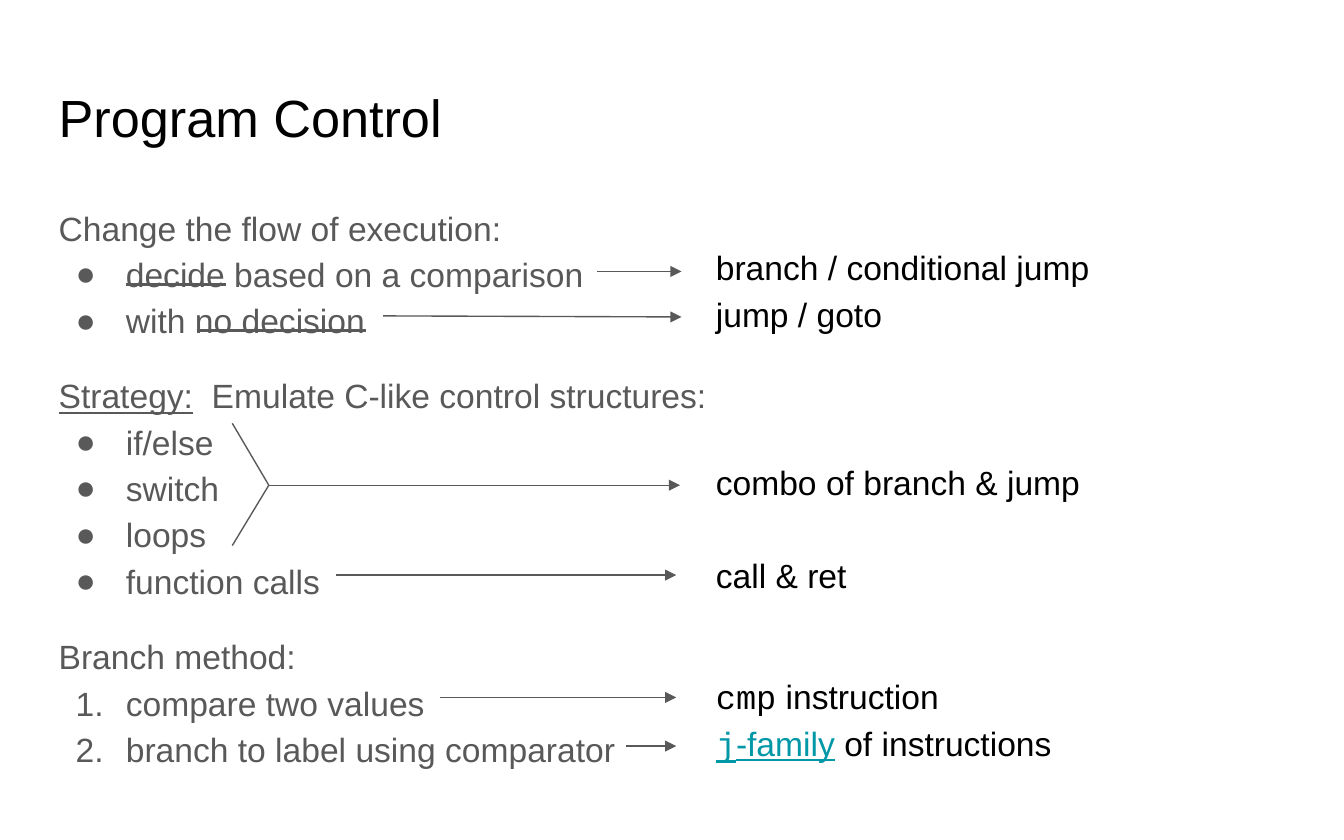
import pptx
import pptx.dml.color
import pptx.enum.dml
import pptx.enum.shapes
import pptx.enum.text
import pptx.oxml.ns
import pptx.util
from lxml import etree

Cm = pptx.util.Cm
Pt = pptx.util.Pt
qn = pptx.oxml.ns.qn

GREY, BLACK, TEAL = "595959", "000000", "0097A7"
MONO = {"name": "Courier New"}
BULLET = ("a:buChar", {"char": "●"})
NUMBER = ("a:buAutoNum", {"type": "arabicPeriod"})


def colour(value):
    return pptx.dml.color.RGBColor.from_string(value)


def apply(target, values):
    for name, value in values.items():
        setattr(target, name, value)


class Page:
    """Hold the style and the current slide, and draw its elements."""

    font = {"name": "Arial", "size": Pt(18), "underline": False}
    frame = {
        "word_wrap": True,
        "auto_size": pptx.enum.text.MSO_AUTO_SIZE.NONE,
        **{f"margin_{side}": Cm(0.25) for side in ("left", "top", "right", "bottom")},
    }

    def __init__(self, deck):
        self.slide = deck.slides.add_slide(deck.slide_layouts[6])

    def spans(self, para, parts, ink):
        for text, values in parts:
            span = para.add_run()
            span.text = text
            values = {"color": ink, **self.font, **values}
            span.font.color.rgb = colour(values.pop("color"))
            apply(span.font, values)

    def text(self, place, parts, ink=BLACK, **frame):
        box = self.slide.shapes.add_textbox(*map(Cm, place))
        apply(box.text_frame, {**self.frame, **frame})
        self.spans(box.text_frame.paragraphs[0], parts, ink)
        return box.text_frame

    def bullet(self, para, marker):
        tag, values = marker
        properties = para._p.get_or_add_pPr()
        properties.set("marL", str(Cm(1.27)))
        properties.set("indent", str(-Cm(0.95)))
        ink = etree.SubElement(properties, qn("a:buClr"))
        etree.SubElement(ink, qn("a:srgbClr"), val=GREY)
        etree.SubElement(properties, qn("a:buFont"), typeface="Arial")
        etree.SubElement(properties, qn(tag), **values)

    def section(self, top, height, heading, items, marker):
        frame = self.text((0.86, top, 23.67, height), heading, GREY)
        for item in items:
            para = frame.add_paragraph()
            self.spans(para, [(item, {})], GREY)
            self.bullet(para, marker)
        for para in frame.paragraphs:
            apply(para, {"line_spacing": 1.15, "space_before": Pt(0), "space_after": Pt(0)})

    def line(self, start, end, width=0.75, arrow=False):
        connector = self.slide.shapes.add_connector(
            pptx.enum.shapes.MSO_CONNECTOR.STRAIGHT, *map(Cm, start + end)
        )
        connector.line.color.rgb = colour(GREY)
        connector.line.width = Pt(width)
        if arrow:
            outline = connector.line._get_or_add_ln()
            etree.SubElement(outline, qn("a:tailEnd"), type="triangle", w="med", len="med")
        etree.SubElement(connector._element.spPr, qn("a:effectLst"))


def main():
    deck = pptx.Presentation()
    apply(deck, {"slide_width": Cm(25.4), "slide_height": Cm(15.875)})
    page = Page(deck)

    page.text((0.86, 1.37, 23.67, 1.78), [("Program Control", {"size": Pt(28)})])
    sections = [
        (3.56, 3.18, [("Change the flow of execution:", {})],
         ["decide based on a comparison", "with no decision"], BULLET),
        (6.73, 4.93,
         [("Strategy:", {"underline": True}), ("  Emulate C-like control structures:", {})],
         ["if/else", "switch", "loops", "function calls"], BULLET),
        (11.66, 3.86, [("Branch method:", {})],
         ["compare two values", "branch to label using comparator"], NUMBER),
    ]
    for section in sections:
        page.section(*section)

    middle = pptx.enum.text.MSO_ANCHOR.MIDDLE
    top = pptx.enum.text.MSO_ANCHOR.TOP
    link = {"color": TEAL, "underline": True}
    answers = [
        (4.55, 0.99, middle, [("branch / conditional jump", {})]),
        (5.44, 0.99, middle, [("jump / goto", {})]),
        (8.48, 1.3, top, [("combo of branch & jump", {})]),
        (10.24, 1.3, top, [("call & ret", {})]),
        (12.52, 1.65, top, [("cmp", MONO), (" instruction", {})]),
        (13.41, 1.65, top,
         [("j", {**link, **MONO}), ("-family", link), (" of instructions", {})]),
    ]
    for y, height, anchor, parts in answers:
        page.text((13.28, y, 9.88, height), parts, vertical_anchor=anchor)

    for left, right, y in [(2.39, 4.27, 5.38), (3.73, 6.91, 6.25)]:
        page.line((left, y), (right, y), width=1.5)

    joint = (5.08, 9.17)
    for y in (8, 10.31):
        page.line((4.39, y), joint)

    arrows = [
        ((11.28, 5.13), (12.88, 5.13)),
        ((7.24, 5.97), (12.88, 5.99)),
        (joint, (12.85, 9.17)),
        ((6.35, 10.87), (12.78, 10.87)),
        ((8.31, 13.18), (12.78, 13.18)),
        ((11.84, 14.1), (12.78, 14.1)),
    ]
    for start, end in arrows:
        page.line(start, end, arrow=True)

    deck.save("out.pptx")


if __name__ == "__main__":
    main()
